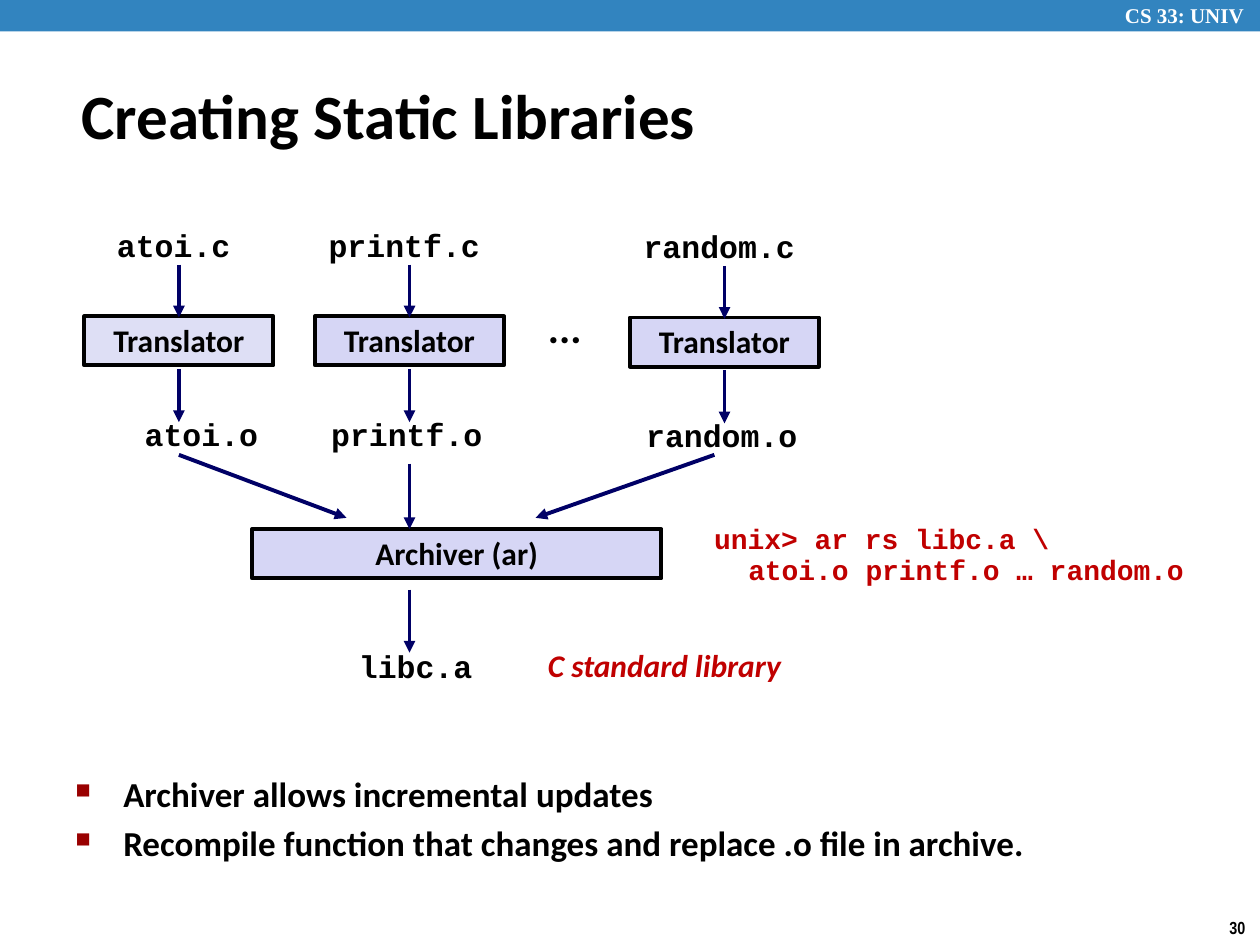
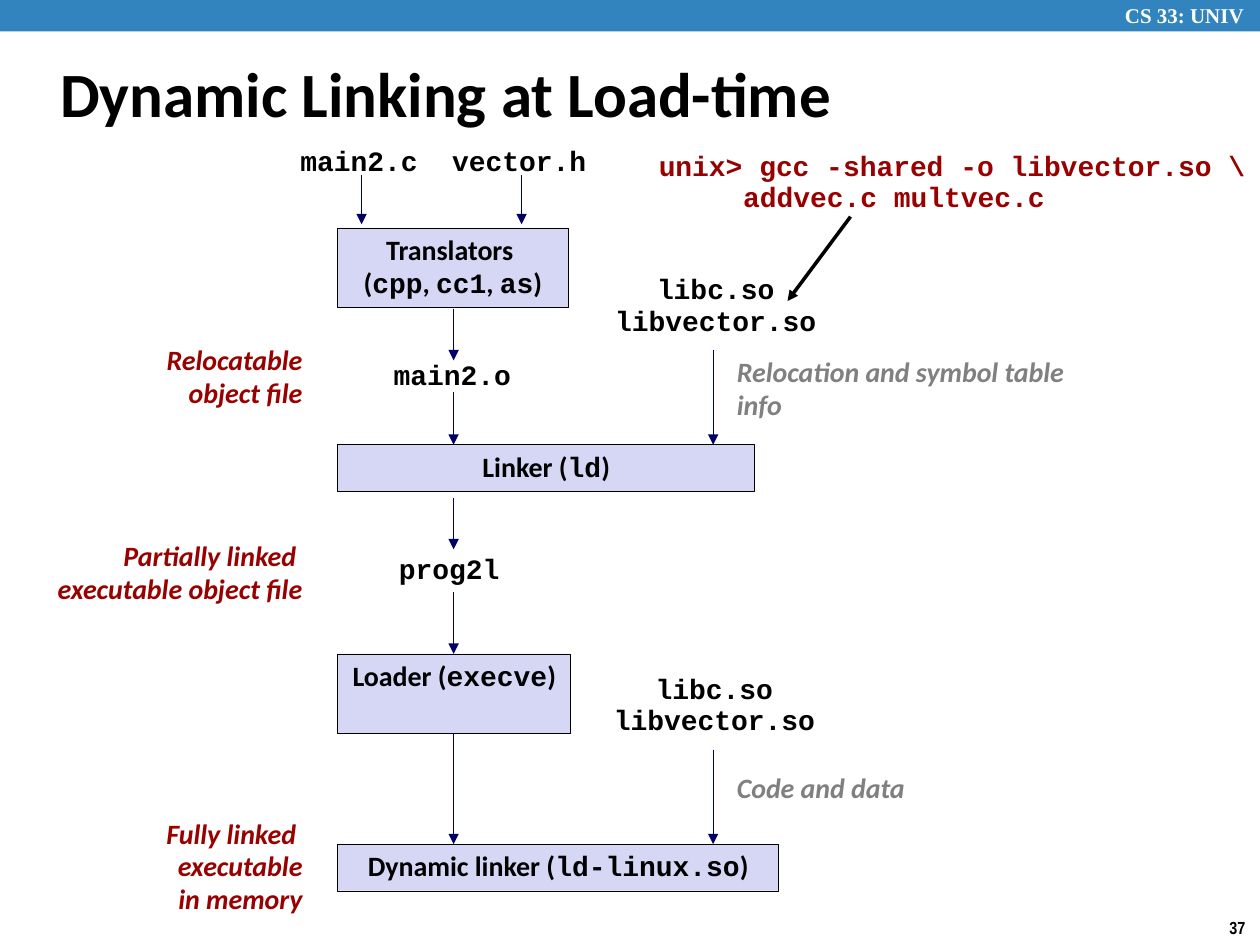
"""Build two lecture slides on static libraries and load-time dynamic linking."""
from lxml import etree
from pptx import Presentation, util as u
from pptx.dml.color import RGBColor
from pptx.enum import shapes, text
from pptx.oxml.ns import qn

COLORS = {"band": "3284BF", "white": "FFFFFF", "black": "000000", "navy": "000066",
          "lilac": "D6D6F5", "pale": "DEDFF5", "red": "C00000", "maroon": "990000",
          "gray": "808080"}
SANS, MONO = "Calibri", "Courier New"
LEFT, CENTER, RIGHT = text.PP_ALIGN.LEFT, text.PP_ALIGN.CENTER, text.PP_ALIGN.RIGHT
COURSE = "CS 33: UNIV"

STATIC = {"title": "Creating Static Libraries", "at": (0.55, 0.48, 9.53, 0.86), "page": "30"}
COLUMNS = [("atoi", 1.42, 0, 1.1, 1.6, "pale"),
           ("printf", 3.25, 0, 1.4, 3.23, "lilac"),
           ("random", 5.75, 0.01, 1.4, 5.73, "lilac")]
STATIC_ARROWS = [(3.25, 3.68, 3.25, 4.2), (5.67, 3.61, 4.25, 4.11),
                 (1.42, 3.61, 2.75, 4.11), (3.25, 4.68, 3.25, 5.18)]
BULLETS = ["Archiver allows incremental updates",
           "Recompile function that changes and replace .o file in archive."]

DYNAMIC = {"title": "Dynamic Linking at Load-time", "at": (0.38, 0.31, 9.53, 0.85), "page": "37"}
STAGES = [(["Translators ", "(`cpp`, `cc1`, `as`)"], 1.81, 1.83, 0.63),
          (["Linker (`ld`)"], 3.53, 3.31, 0.37),
          (["Loader (`execve`)"], 5.19, 1.85, 0.63),
          (["Dynamic linker (`ld-linux.so`)"], 6.7, 3.5, 0.37)]
LIBRARIES = ["libc.so", "libvector.so"]
FILES = [(["main2.c"], (2.28, 1.11, 1.14, 0.36)), (["vector.h"], (3.48, 1.11, 1.28, 0.36)),
         (["main2.o"], (3.02, 2.81, 1.14, 0.36)), (["prog2l"], (3.06, 4.35, 1.01, 0.36)),
         (LIBRARIES, (4.77, 2.13, 1.82, 0.61)), (LIBRARIES, (4.76, 5.3, 1.82, 0.61))]
RESULTS = [(["Relocatable", "object file"], 2.68, 1.5, 0.63),
           (["Partially linked ", "executable object file"], 4.24, 2.75, 0.63),
           (["Fully linked ", "executable", "in memory"], 6.44, 1.92, 0.89)]
NOTES = [("Relocation and symbol table info", (5.75, 2.78, 2.85, 0.63)),
         ("Code and data", (5.75, 6.08, 1.94, 0.37))]
DOWN_ARROWS = [(2.87, 1.39, 1.78), (4.14, 1.39, 1.78), (3.6, 2.45, 2.86), (3.6, 3.11, 3.53),
               (3.6, 3.95, 4.36), (3.6, 4.7, 5.19), (3.6, 5.82, 6.7),
               (5.66, 2.78, 3.53), (5.66, 5.95, 6.7)]


def rgb(name):
    return RGBColor.from_string(COLORS[name])


def write(box, lines, size, font=SANS, color="black", italic=False, align=LEFT,
          spacing=None, wrap=True):
    frame = box.text_frame
    frame.word_wrap = wrap
    frame.auto_size = text.MSO_AUTO_SIZE.SHAPE_TO_FIT_TEXT
    frame.vertical_anchor = text.MSO_ANCHOR.TOP
    for number, line in enumerate(lines):
        para = frame.add_paragraph() if number else frame.paragraphs[0]
        para.alignment = align
        if spacing:
            para.line_spacing = spacing
        para.font.size, para.font.name = u.Pt(size), font
        para.font.bold, para.font.italic = True, italic
        para.font.color.rgb = rgb(color)
        for index, piece in enumerate(line.split("`")):
            if piece:
                span = para.add_run()
                span.text = piece
                if index % 2:
                    span.font.name = MONO
    return frame


def label(page, lines, at, size, **style):
    box = page.shapes.add_textbox(*map(u.Inches, at))
    return write(box, lines, size, **style)


def code(page, lines, at, size, **style):
    return label(page, lines, at, size, font=MONO, spacing=0.94, wrap=False, **style)


def command(page, lines, at, color, indent):
    frame = code(page, lines, at, 16, color=color)
    frame.paragraphs[1]._p.get_or_add_pPr().set("marL", str(u.Inches(indent)))


def block(page, at, fill, line_width=None):
    box = page.shapes.add_shape(shapes.MSO_SHAPE.RECTANGLE, *map(u.Inches, at))
    box.shadow.inherit = False
    box.fill.solid()
    box.fill.fore_color.rgb = rgb(fill)
    if line_width:
        box.line.color.rgb = rgb("black")
        box.line.width = u.Pt(line_width)
    else:
        box.line.fill.background()
    return box


def step(page, lines, at, size, line_width, fill="lilac"):
    write(block(page, at, fill, line_width), lines, size, align=CENTER, spacing=0.98)


def arrow(page, ends, width, color="navy"):
    line = page.shapes.add_connector(shapes.MSO_CONNECTOR.STRAIGHT, *map(u.Inches, ends))
    line.line.color.rgb = rgb(color)
    line.line.width = u.Pt(width)
    etree.SubElement(line.line._get_or_add_ln(), qn("a:tailEnd"), type="triangle")
    etree.SubElement(line._element.spPr, qn("a:effectLst"))


def add_bullets(page, lines, at):
    frame = label(page, lines, at, 20)
    frame.auto_size = text.MSO_AUTO_SIZE.NONE
    for para in frame.paragraphs:
        para.space_before = u.Pt(4)
        props = para._p.get_or_add_pPr()
        props.set("marL", str(u.Inches(0.38)))
        props.set("indent", str(-u.Inches(0.38)))
        color = etree.Element(qn("a:buClr"))
        etree.SubElement(color, qn("a:srgbClr"), val=COLORS["maroon"])
        size = etree.Element(qn("a:buSzPct"), val="60000")
        mark = etree.Element(qn("a:buChar"), char="■")
        defaults = props.find(qn("a:defRPr"))
        for item in (color, size, mark):
            defaults.addprevious(item)


def new_page(deck, content):
    page = deck.slides.add_slide(deck.slide_layouts[6])
    block(page, (0, 0, 10, 0.25), "band")
    label(page, [COURSE], (8.83, -0.03, 1.24, 0.3), 12, font="Times New Roman", color="white")
    label(page, [content["page"]], (9.66, 7.23, 0.34, 0.27), 10, font="Arial Narrow", wrap=False)
    title = label(page, [content["title"]], content["at"], 36)
    title.auto_size = text.MSO_AUTO_SIZE.NONE
    title.vertical_anchor = text.MSO_ANCHOR.MIDDLE
    return page


def build_static(deck):
    page = new_page(deck, STATIC)
    for name, middle, drop, width, object_middle, fill in COLUMNS:
        code(page, [name + ".c"], (middle - 0.04 - width / 2, 1.77 + drop, width, 0.39), 18)
        code(page, [name + ".o"], (object_middle - width / 2, 3.27 + drop, width, 0.39), 18)
        step(page, ["Translator"], (middle - 0.75, 2.51 + drop, 1.5, 0.39), 18, 2.24, fill)
        for top in (2.1 + drop, 2.93 + drop):
            arrow(page, (middle, top, middle, top + 0.42), 2.24)
    label(page, ["..."], (4.25, 2.36, 0.48, 0.5), 24, spacing=0.98, wrap=False)
    step(page, ["Archiver (ar)"], (2, 4.2, 3.25, 0.39), 18, 2.24)
    for ends in STATIC_ARROWS:
        arrow(page, ends, 2.24)
    code(page, ["libc.a"], (2.75, 5.11, 1.1, 0.39), 18)
    label(page, ["C standard library"], (4.25, 5.09, 3.25, 0.4), 18, color="red",
          italic=True, spacing=0.98)
    command(page, ["unix> ar rs libc.a \\", "atoi.o printf.o … random.o"],
            (5.57, 4.11, 3.98, 0.61), "red", 0.27)
    add_bullets(page, BULLETS, (0.5, 6.08, 9.09, 1.17))


def build_dynamic(deck):
    page = new_page(deck, DYNAMIC)
    for lines, top, width, height in STAGES:
        step(page, lines, (2.68, top, width, height), 16, 0.26)
    for lines, at in FILES:
        code(page, lines, at, 16, align=CENTER)
    for lines, top, width, height in RESULTS:
        label(page, lines, (2.5 - width, top, width, height), 16, color="maroon",
              italic=True, align=RIGHT, spacing=0.98)
    for line, at in NOTES:
        label(page, [line], at, 16, color="gray", italic=True, spacing=0.98)
    for x, top, bottom in DOWN_ARROWS:
        arrow(page, (x, top, x, bottom), 0.26)
    command(page, ["unix> gcc -shared -o libvector.so \\", "addvec.c multvec.c"],
            (5.13, 1.15, 4.92, 0.61), "maroon", 0.67)
    arrow(page, (6.75, 1.72, 6.25, 2.39), 2, "black")


deck = Presentation()
deck.slide_width, deck.slide_height = u.Inches(10), u.Inches(7.5)
build_static(deck)
build_dynamic(deck)
deck.save("out.pptx")
